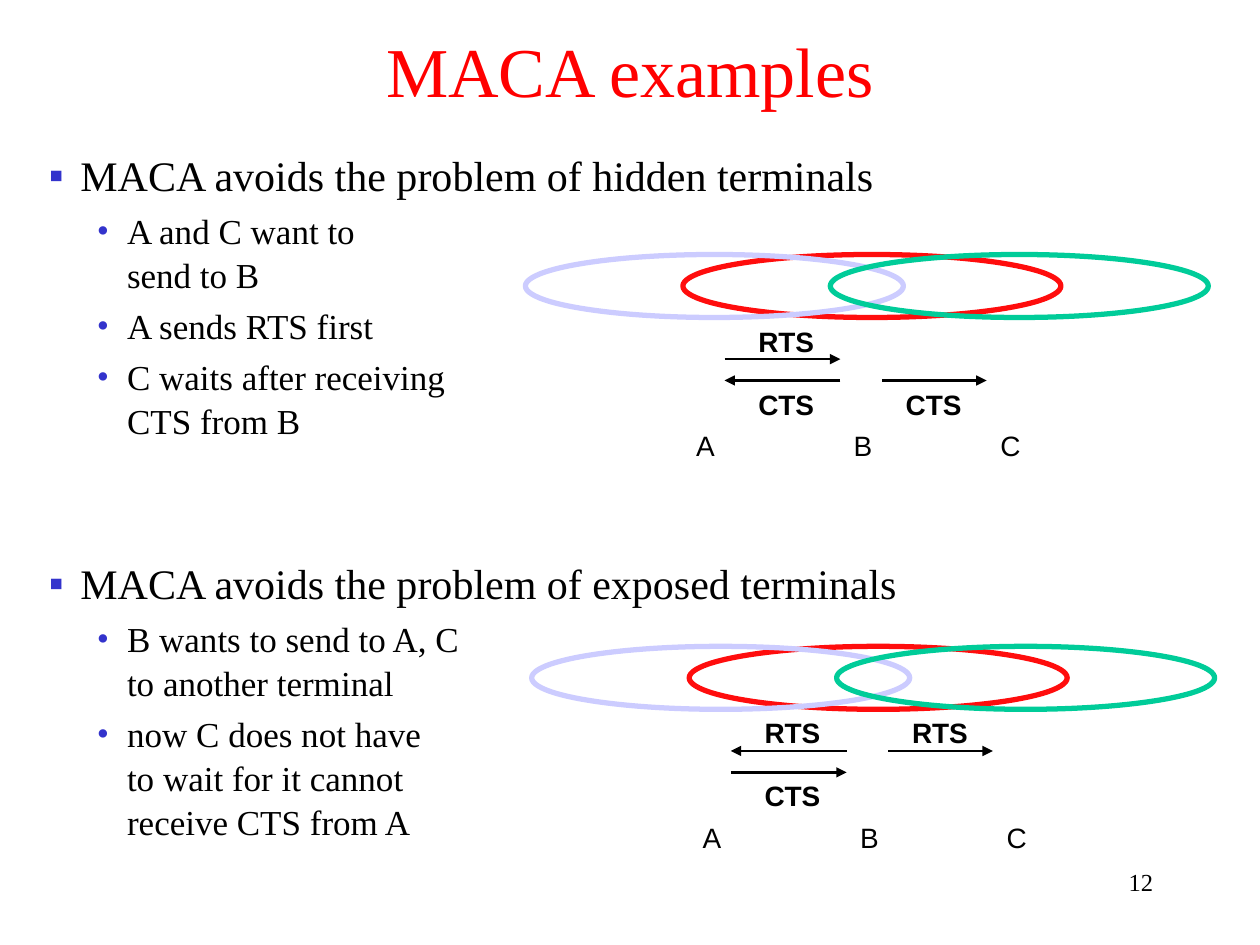
from lxml.etree import SubElement
from pptx import Presentation
from pptx.dml.color import RGBColor
from pptx.enum.shapes import MSO_CONNECTOR, MSO_SHAPE
from pptx.enum.text import MSO_ANCHOR, PP_ALIGN
from pptx.oxml.ns import qn
from pptx.util import Inches, Pt

COLORS = {"text": "000000", "title": "FF0000", "bullet": "3333CC",
          "A": "CCCCFF", "B": "FF0D0D", "C": "00CC99"}
SERIF, SANS = "Times New Roman", "Arial"

# Each arrow: lane, row, direction, label
SECTIONS = [
    {"heading": "MACA avoids the problem of hidden terminals",
     "points": ["A and C want to\vsend to B",
                "A sends RTS first",
                "C waits after receiving\vCTS from B"],
     "text_top": 1.12, "diagram": (4.17, 2.02),
     "arrows": [("AB", "upper", "right", "RTS"),
                ("BC", "lower", "right", "CTS"),
                ("AB", "lower", "left", "CTS")]},
    {"heading": "MACA avoids the problem of exposed terminals",
     "points": ["B wants to send to A, C\vto another terminal",
                "now C does not have\vto wait for it cannot\vreceive CTS from A"],
     "text_top": 4.36, "diagram": (4.22, 5.13),
     "arrows": [("AB", "upper", "left", "RTS"),
                ("BC", "upper", "right", "RTS"),
                ("AB", "lower", "right", "CTS")]},
]

# Diagram grid, in inches from the diagram's top left corner
RANGE_WIDTH, RANGE_HEIGHT = 3, 0.5
RANGE_LEFT = {"B": 1.25, "A": 0, "C": 2.42}  # back to front
STATION_CENTER, STATION_TOP = 1.43, 1.33
LANES = {"AB": (1.58, 2.5, 2.07), "BC": (2.83, 3.66, 3.24)}  # start, end, label center
ROWS = {"upper": (0.83, 0.5), "lower": (1.0, 1.0)}  # arrow, label top
LABEL_WIDTH, LABEL_HEIGHT = 0.64, 0.37

# Level: size, indent, hanging, bullet
LEVELS = [(24, 0.25, 0.25, "▪"), (20, 0.62, 0.24, "•")]


def color(name):
    return RGBColor.from_string(COLORS[name])


def format_paragraph(paragraph, text, size=16, font=SANS, fill="text", bold=False,
                     align=PP_ALIGN.LEFT):
    paragraph.text = text
    paragraph.alignment = align
    for run in paragraph.runs:
        run.font.size, run.font.name, run.font.bold = Pt(size), font, bold
        run.font.color.rgb = color(fill)


def add_text(slide, text, left, top, width, height, wrap=True,
             anchor=MSO_ANCHOR.TOP, **style):
    frame = slide.shapes.add_textbox(
        *map(Inches, (left, top, width, height))).text_frame
    frame.word_wrap, frame.vertical_anchor = wrap, anchor
    format_paragraph(frame.paragraphs[0], text, **style)
    return frame


def add_label(slide, text, center, top, bold=False):
    add_text(slide, text, center - LABEL_WIDTH / 2, top, LABEL_WIDTH, LABEL_HEIGHT,
             wrap=False, anchor=MSO_ANCHOR.MIDDLE, bold=bold, align=PP_ALIGN.CENTER)


def add_bullet(paragraph, level):
    size, indent, hanging, character = LEVELS[level]
    properties = paragraph._p.get_or_add_pPr()
    properties.set("marL", str(Inches(indent)))
    properties.set("indent", str(-Inches(hanging)))
    bullet_color = SubElement(properties, qn("a:buClr"))
    SubElement(bullet_color, qn("a:srgbClr"), val=COLORS["bullet"])
    SubElement(properties, qn("a:buFont"), typeface=SERIF)
    SubElement(properties, qn("a:buChar"), char=character)
    paragraph.level = level
    paragraph.line_spacing = 1.05
    paragraph.space_before = Pt(size * 0.2 if level else 0)
    paragraph.font.size = Pt(size)


def add_bullets(slide, section):
    frame = add_text(slide, section["heading"], 0.29, section["text_top"], 8.93, 2.8,
                     size=LEVELS[0][0], font=SERIF)
    add_bullet(frame.paragraphs[0], 0)
    for point in section["points"]:
        paragraph = frame.add_paragraph()
        format_paragraph(paragraph, point, size=LEVELS[1][0], font=SERIF)
        add_bullet(paragraph, 1)


def add_arrow(slide, start, end, y):
    connector = slide.shapes.add_connector(
        MSO_CONNECTOR.STRAIGHT, *map(Inches, (start, y, end, y)))
    connector.line.color.rgb = color("text")
    connector.line.width = Pt(1.5)
    SubElement(connector.line._get_or_add_ln(), qn("a:tailEnd"), type="triangle")
    SubElement(connector._element.spPr, qn("a:effectLst"))


def add_diagram(slide, section):
    left, top = section["diagram"]
    for station, offset in RANGE_LEFT.items():
        shape = slide.shapes.add_shape(MSO_SHAPE.OVAL, *map(
            Inches, (left + offset, top, RANGE_WIDTH, RANGE_HEIGHT)))
        shape.shadow.inherit = False
        shape.fill.background()
        shape.line.color.rgb = color(station)
        shape.line.width = Pt(3)
        add_label(slide, station, left + offset + STATION_CENTER, top + STATION_TOP)
    for lane, row, direction, label in section["arrows"]:
        start, end, label_center = LANES[lane]
        arrow_y, label_top = ROWS[row]
        if direction == "left":
            start, end = end, start
        add_arrow(slide, left + start, left + end, top + arrow_y)
        add_label(slide, label, left + label_center, top + label_top, bold=True)


def main():
    presentation = Presentation()
    presentation.slide_width, presentation.slide_height = Inches(10), Inches(7.5)
    slide = presentation.slides.add_slide(presentation.slide_layouts[6])
    add_text(slide, "MACA examples", 0, 0.21, 10, 0.68, anchor=MSO_ANCHOR.MIDDLE,
             size=40, font=SERIF, fill="title", align=PP_ALIGN.CENTER)
    for section in SECTIONS:
        add_bullets(slide, section)
        add_diagram(slide, section)
    add_text(slide, "12", 7.17, 6.83, 2.08, 0.5, size=14, font=SERIF,
             align=PP_ALIGN.RIGHT)
    presentation.save("out.pptx")


if __name__ == "__main__":
    main()
